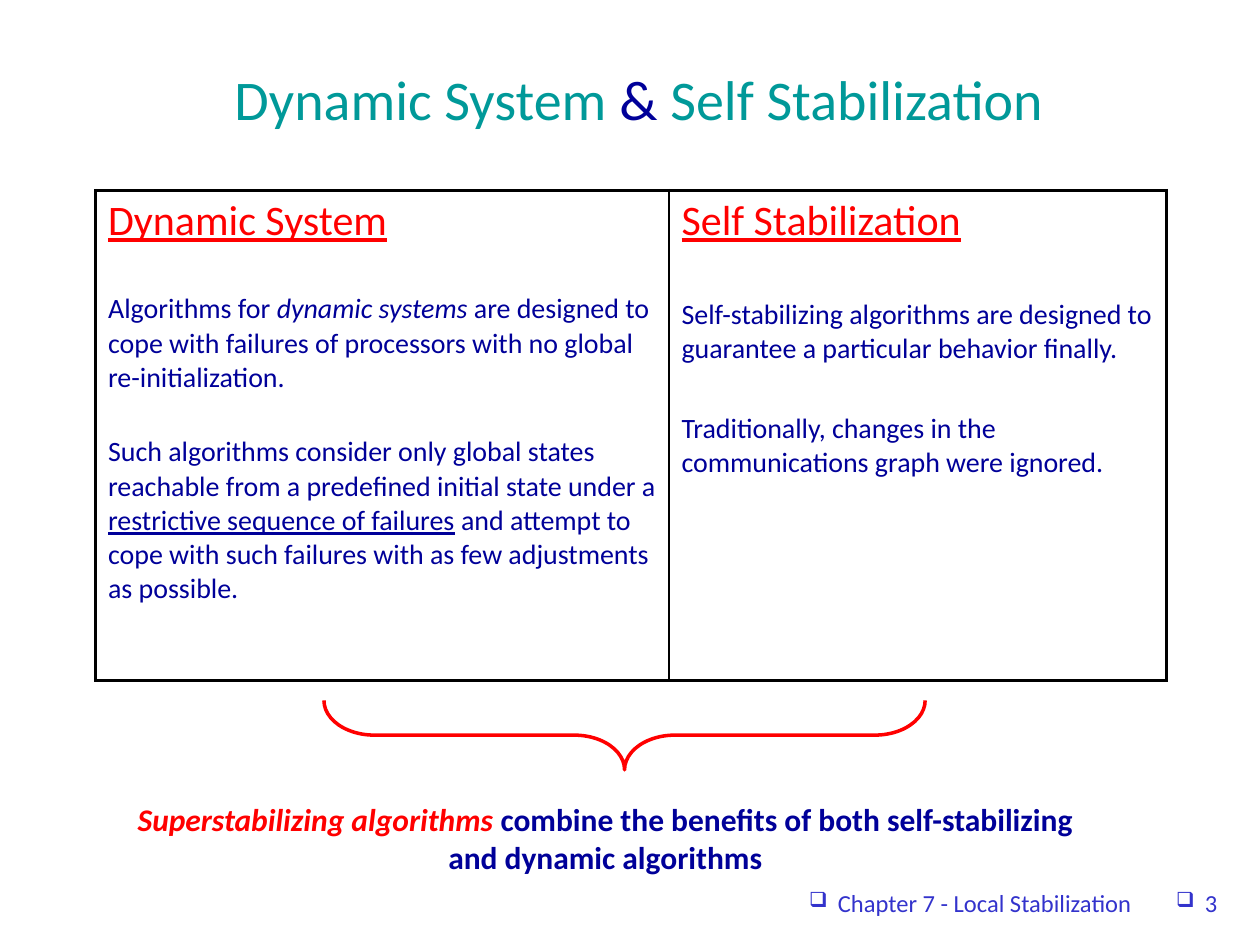
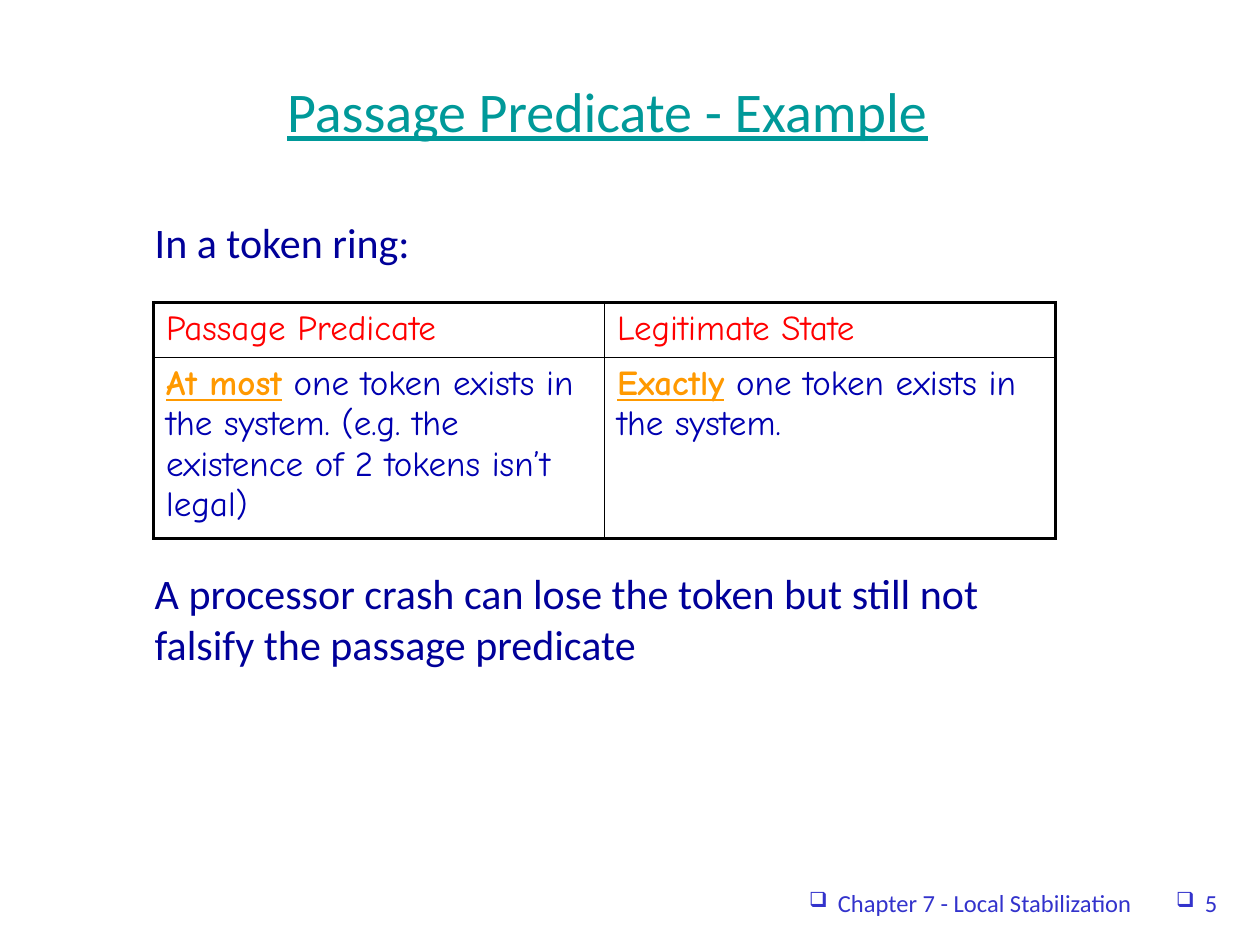
from lxml import etree
from pptx import Presentation
from pptx.dml.color import RGBColor
from pptx.enum.shapes import MSO_SHAPE
from pptx.enum.text import MSO_ANCHOR, PP_ALIGN
from pptx.oxml.ns import qn
from pptx.util import Cm, Pt

TEAL = RGBColor(0x00, 0x99, 0x99)
NAVY = RGBColor(0x00, 0x00, 0x99)
BLUE = RGBColor(0x00, 0x00, 0xB0)
FOOTER_BLUE = RGBColor(0x33, 0x33, 0xCC)
RED = RGBColor(0xFF, 0x00, 0x00)
ORANGE = RGBColor(0xFF, 0x99, 0x00)
BLACK = RGBColor(0x00, 0x00, 0x00)

LEFT, CENTER, RIGHT = PP_ALIGN.LEFT, PP_ALIGN.CENTER, PP_ALIGN.RIGHT
TOP, MIDDLE = MSO_ANCHOR.TOP, MSO_ANCHOR.MIDDLE
RIGHT_BRACE = MSO_SHAPE.RIGHT_BRACE

BODY_FONT = "Calibri"
TABLE_FONT = "Comic Neue"
OUTER_LINE, INNER_LINE = Pt(2.25), Pt(1)


def style_font(font, size=None, color=None, name=None, **flags):
    """Set the given font features and leave the others inherited."""
    if size:
        font.size = Pt(size)
    if color is not None:
        font.color.rgb = color
    if name:
        font.name = name
    for flag, value in flags.items():
        setattr(font, flag, value)


def write_paragraph(frame, runs, size, color, name=BODY_FONT, align=LEFT,
                    before=0, indent=0, **flags):
    """Write one paragraph; runs is a string or a list of (text, differences)."""
    paragraph = frame.paragraphs[0]
    if paragraph.runs:
        paragraph = frame.add_paragraph()
    paragraph.alignment = align
    paragraph.space_before = Pt(before)
    style_font(paragraph.font, size, color, name, **flags)
    if indent:
        paragraph._p.get_or_add_pPr().set("marL", str(Cm(indent)))
    for text, differences in [(runs, {})] if isinstance(runs, str) else runs:
        run = paragraph.add_run()
        run.text = text
        style_font(run.font, **differences)
    return paragraph


def add_text_frame(slide, left, top, width, height, anchor=TOP):
    """Add a wrapping text box, in centimetres, and return its text frame."""
    box = slide.shapes.add_textbox(Cm(left), Cm(top), Cm(width), Cm(height))
    box.text_frame.word_wrap = True
    box.text_frame.vertical_anchor = anchor
    return box.text_frame


def add_title(slide, runs, top, height, indent=0, **flags):
    """Add the centred teal slide title."""
    frame = add_text_frame(slide, 1.47, top, 21.55, height, MIDDLE)
    write_paragraph(frame, runs, 32, TEAL, align=CENTER, indent=indent, **flags)


def add_square_bullet(paragraph):
    """Give a paragraph the hanging hollow square bullet."""
    properties = paragraph._p.get_or_add_pPr()
    properties.set("marL", str(Cm(0.58)))
    properties.set("indent", str(-Cm(0.58)))
    marks = [("a:buSzPct", {"val": "85000"}),
             ("a:buFont", {"typeface": "Wingdings", "charset": "2"}),
             ("a:buChar", {"char": "q"})]
    default_font = properties.find(qn("a:defRPr"))
    for tag, attributes in marks:
        default_font.addprevious(etree.Element(qn(tag), attributes))


def add_footer(slide, page):
    """Add the chapter name and the page number."""
    for text, left, width in [("Chapter 7 - Local Stabilization", 8.71, 14.35),
                              (page, 23.06, 1.73)]:
        frame = add_text_frame(slide, left, 17.78, width, 1.27)
        add_square_bullet(write_paragraph(frame, text, 14, FOOTER_BLUE, align=RIGHT))


def set_borders(cell, widths):
    """Draw the left, right, top and bottom border of a cell."""
    properties = cell._tc.get_or_add_tcPr()
    for index, (side, width) in enumerate(zip("LRTB", widths)):
        line = etree.Element(qn(f"a:ln{side}"), {"w": str(width)})
        fill = etree.SubElement(line, qn("a:solidFill"))
        etree.SubElement(fill, qn("a:srgbClr"), {"val": str(BLACK)})
        properties.insert(index, line)


def add_framed_table(slide, left, top, widths, heights, margin):
    """Add an unfilled table with a thick frame and thin inner lines."""
    rows, columns = len(heights), len(widths)
    table = slide.shapes.add_table(rows, columns, Cm(left), Cm(top),
                                   Cm(sum(widths)), Cm(sum(heights))).table
    table.first_row = table.horz_banding = False
    for column, width in zip(table.columns, widths):
        column.width = Cm(width)
    for row, height in zip(table.rows, heights):
        row.height = Cm(height)
    for r in range(rows):
        for c in range(columns):
            cell = table.cell(r, c)
            cell.fill.background()
            cell.margin_left = cell.margin_right = Cm(0.25)
            cell.margin_top = cell.margin_bottom = Cm(margin)
            on_frame = (c == 0, c == columns - 1, r == 0, r == rows - 1)
            set_borders(cell, [OUTER_LINE if edge else INNER_LINE for edge in on_frame])
    return table


def add_brace(slide, center_x, center_y, span, depth):
    """Add a red brace that opens upwards."""
    brace = slide.shapes.add_shape(
        RIGHT_BRACE, Cm(center_x - depth / 2), Cm(center_y - span / 2), Cm(depth), Cm(span))
    brace.rotation = 90
    brace.adjustments[0] = 0.725
    brace.shadow.inherit = False
    brace.fill.background()
    brace.line.color.rgb = RED
    brace.line.width = Pt(2)


def build_comparison(slide):
    """Compare dynamic systems with self stabilization."""
    add_footer(slide, "3")
    add_title(slide, [("Dynamic System", {}), (" & ", {"color": NAVY}),
                      ("Self Stabilization", {})], 1.22, 1.52, indent=1.27)

    dynamic = [
        ([("Algorithms for ", {}), ("dynamic systems ", {"italic": True}),
          ("are designed to cope with failures of processors with no global "
           "re-initialization.", {})], 26),
        ([("Such algorithms consider only global states reachable from a predefined "
           "initial state under a ", {}),
          ("restrictive sequence of failures", {"underline": True}),
          (" and attempt to cope with such failures with as few adjustments as "
           "possible.", {})], 23),
    ]
    stabilizing = [
        ("Self-stabilizing algorithms are designed to guarantee a particular behavior "
         "finally.", 29),
        ("Traditionally, changes in the communications graph were ignored.", 26),
    ]
    table = add_framed_table(slide, 1.93, 3.84, [11.56, 10.03], [9.88], 0.1)
    columns = [("Dynamic System", dynamic), ("Self Stabilization", stabilizing)]
    for cell, (heading, statements) in zip(table.rows[0].cells, columns):
        write_paragraph(cell.text_frame, heading, 24, RED, underline=True)
        for runs, before in statements:
            write_paragraph(cell.text_frame, runs, 16, NAVY, before=before)

    add_brace(slide, 12.59, 14.82, 12.12, 1.4)
    conclusion = add_text_frame(slide, 2.26, 16, 19.89, 1.78)
    write_paragraph(conclusion, [
        ("Superstabilizing algorithms ", {"color": RED, "italic": True}),
        ("combine the benefits of both self-stabilizing and dynamic algorithms", {}),
    ], 18, NAVY, align=CENTER, bold=True)


def build_example(slide):
    """Show the passage predicate of a token ring."""
    add_footer(slide, "5")
    add_title(slide, "Passage Predicate - Example", 0.64, 3.18, underline=True)

    body = add_text_frame(slide, 0.23, 4.24, 20.83, 12.9)
    write_paragraph(body, "In a token ring:", 24, NAVY, indent=2.64)
    write_paragraph(body, "A processor crash can lose the token but still not falsify "
                    "the passage predicate", 24, NAVY, before=172, indent=2.64)

    table = add_framed_table(slide, 3.1, 6.1, [9.09, 9.09], [1.09, 3.63], 0.13)
    columns = [
        ("Passage Predicate", "At most", " one token exists in the system. (e.g. the "
         "existence of 2 tokens isn\u2019t legal)"),
        ("Legitimate State", "Exactly", " one token exists in the system."),
    ]
    for c, (heading, amount, rest) in enumerate(columns):
        write_paragraph(table.cell(0, c).text_frame, heading, 20, RED, TABLE_FONT)
        emphasis = {"color": ORANGE, "bold": True, "underline": True}
        write_paragraph(table.cell(1, c).text_frame, [(amount, emphasis), (rest, {})],
                        20, BLUE, TABLE_FONT)


def main():
    """Build both slides and save the presentation."""
    presentation = Presentation()
    presentation.slide_width, presentation.slide_height = Cm(25.4), Cm(19.05)
    blank = presentation.slide_layouts[6]
    for build in (build_comparison, build_example):
        build(presentation.slides.add_slide(blank))
    presentation.save("out.pptx")


main()
